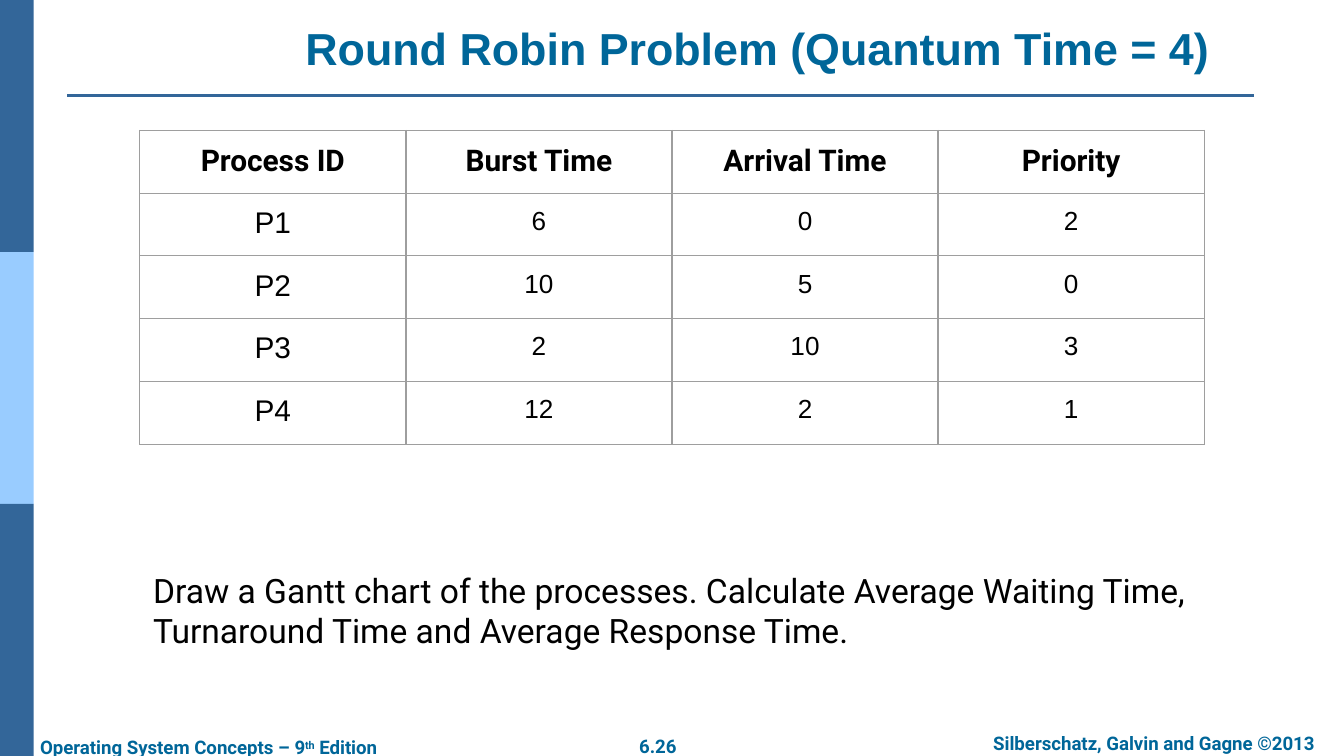
import lxml.etree
import pptx
import pptx.dml.color
import pptx.enum.shapes
import pptx.enum.text
import pptx.oxml.ns
import pptx.util

Inches = pptx.util.Inches
ALIGN = pptx.enum.text.PP_ALIGN
ANCHOR = pptx.enum.text.MSO_ANCHOR

SLIDE_WIDTH, SLIDE_HEIGHT = 10, 5.625
DARK_BLUE, LIGHT_BLUE, HEADING_BLUE = "336699", "99CCFF", "006699"
BLACK, BORDER_GRAY = "000000", "9E9E9E"

PROCESSES = [
    ("Process ID", "Burst Time", "Arrival Time", "Priority"),
    ("P1", "6", "0", "2"),
    ("P2", "10", "5", "0"),
    ("P3", "2", "10", "3"),
    ("P4", "12", "2", "1"),
]


def color(hex_string):
    return pptx.dml.color.RGBColor.from_string(hex_string)


def add_run(paragraph, text, font="Roboto", size=10, bold=False, fill=BLACK, baseline=0):
    run = paragraph.add_run()
    run.text = text
    run.font.name = font
    run.font.size = pptx.util.Pt(size)
    run.font.bold = bold
    run.font.color.rgb = color(fill)
    if baseline:
        run._r.get_or_add_rPr().set("baseline", str(baseline * 1000))
    return run


def add_text(slide, box, text, align=ALIGN.LEFT, anchor=ANCHOR.TOP, inset=0.05, grow=False, **style):
    """Add a wrapped text box and return its paragraph."""
    shape = slide.shapes.add_textbox(*map(Inches, box))
    frame = shape.text_frame
    frame.word_wrap = True
    frame.vertical_anchor = anchor
    frame.margin_left = frame.margin_right = Inches(0.1)
    frame.margin_top = frame.margin_bottom = Inches(inset)
    if grow:
        frame.auto_size = pptx.enum.text.MSO_AUTO_SIZE.SHAPE_TO_FIT_TEXT
    paragraph = frame.paragraphs[0]
    paragraph.alignment = align
    add_run(paragraph, text, **style)
    return paragraph


def add_sidebar(slide, left, top, width, height):
    bands = [DARK_BLUE, LIGHT_BLUE, DARK_BLUE]
    band_height = height / len(bands)
    for index, fill in enumerate(bands):
        band = slide.shapes.add_shape(
            pptx.enum.shapes.MSO_SHAPE.RECTANGLE,
            *map(Inches, (left, top + index * band_height, width, band_height)))
        band.shadow.inherit = False
        band.fill.solid()
        band.fill.fore_color.rgb = color(fill)
        band.line.fill.background()


def add_heading(slide, left, top, width, height):
    add_text(slide, (left + 0.76, top, 8.75, 0.38), "Round Robin Problem (Quantum Time = 4)",
             align=ALIGN.CENTER, anchor=ANCHOR.BOTTOM,
             font="Arial", size=24, bold=True, fill=HEADING_BLUE)
    # Rule along the bottom of the heading
    bottom = top + height
    rule = slide.shapes.add_connector(
        pptx.enum.shapes.MSO_CONNECTOR.STRAIGHT,
        *map(Inches, (left, bottom, left + width, bottom)))
    rule.line.color.rgb = color(DARK_BLUE)
    rule.line.width = pptx.util.Pt(1.5)
    lxml.etree.SubElement(rule._element.spPr, pptx.oxml.ns.qn("a:effectLst"))


def set_borders(cell):
    properties = cell._tc.get_or_add_tcPr()
    for index, side in enumerate(("lnL", "lnR", "lnT", "lnB")):
        border = pptx.oxml.parse_xml(
            f'<a:{side} {pptx.oxml.ns.nsdecls("a")} w="{pptx.util.Pt(0.75)}">'
            f'<a:solidFill><a:srgbClr val="{BORDER_GRAY}"/></a:solidFill></a:{side}>')
        properties.insert(index, border)


def add_process_table(slide, left, top, width, height):
    row_count, column_count = len(PROCESSES), len(PROCESSES[0])
    table = slide.shapes.add_table(
        row_count, column_count, *map(Inches, (left, top, width, height))).table
    table.first_row = table.horz_banding = False
    for row_index, values in enumerate(PROCESSES):
        for column_index, value in enumerate(values):
            cell = table.cell(row_index, column_index)
            cell.fill.background()
            set_borders(cell)
            cell.margin_left = cell.margin_right = Inches(0.1)
            cell.margin_top = cell.margin_bottom = Inches(0.1)
            paragraph = cell.text_frame.paragraphs[0]
            paragraph.alignment = ALIGN.CENTER
            is_header = row_index == 0
            add_run(paragraph, value, font="Roboto" if is_header else "Arial",
                    size=16 if is_header or column_index == 0 else 14, bold=is_header)


def add_footer(slide, left, top):
    style = {"bold": True, "fill": HEADING_BLUE}
    book = add_text(slide, (left, top + 0.03, 2.89, 0.2), "Operating System Concepts – 9",
                    grow=True, **style)
    add_run(book, "th", baseline=30, **style)
    add_run(book, " Edition", **style)
    add_text(slide, (left + 4.45, top + 0.02, 0.49, 0.2), "6.26",
             align=ALIGN.CENTER, grow=True, **style)
    add_text(slide, (left + 6.9, top, 2.97, 0.2), "Silberschatz, Galvin and Gagne ©2013",
             align=ALIGN.CENTER, grow=True, **style)


def main():
    presentation = pptx.Presentation()
    presentation.slide_width = Inches(SLIDE_WIDTH)
    presentation.slide_height = Inches(SLIDE_HEIGHT)
    slide = presentation.slides.add_slide(presentation.slide_layouts[6])

    add_sidebar(slide, 0, 0, 0.25, SLIDE_HEIGHT)
    add_footer(slide, 0.2, 5.4)
    add_heading(slide, 0.5, 0.22, 8.83, 0.49)
    # Task below the table
    add_text(slide, (1.04, 4.14, 7.92, 0.73),
             "Draw a Gantt chart of the processes. Calculate Average Waiting Time, "
             "Turnaround Time and Average Response Time.", inset=0.1, size=18)
    add_process_table(slide, 1.04, 0.97, 7.92, 2.1)

    presentation.save("out.pptx")


if __name__ == "__main__":
    main()
